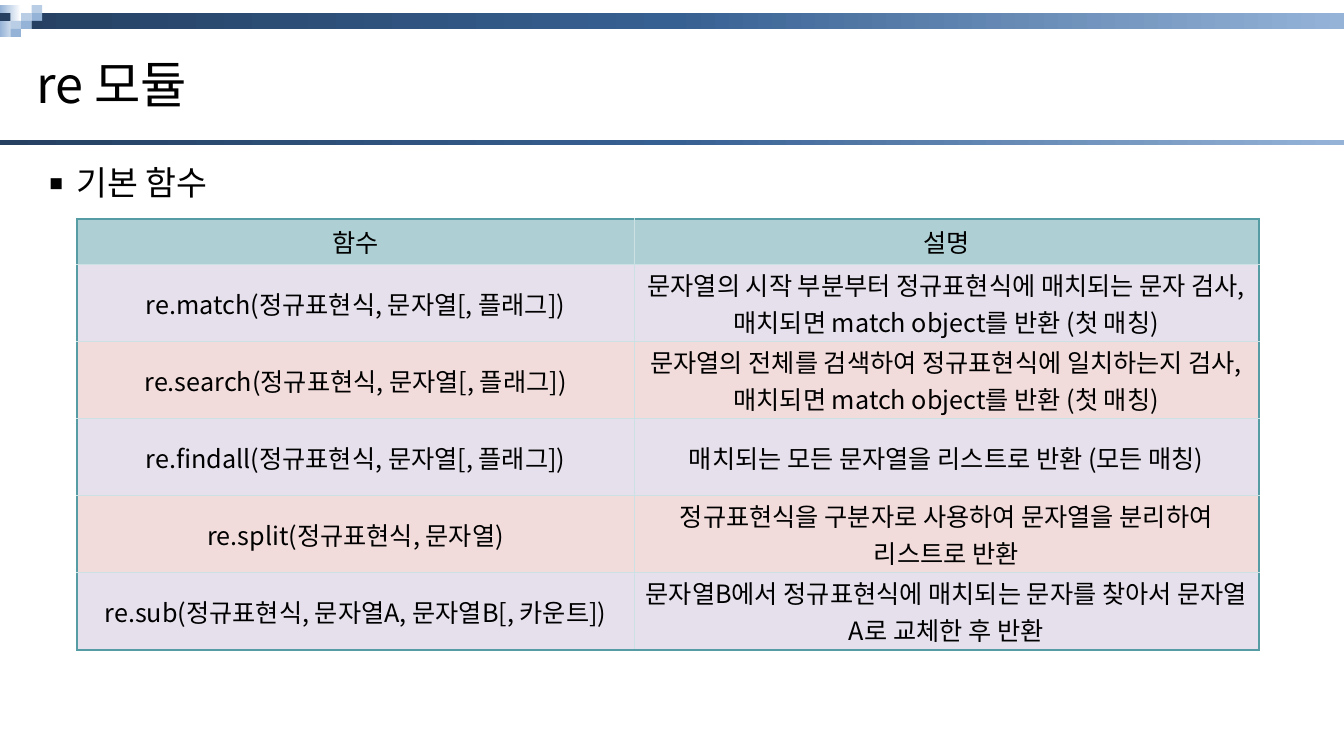
from lxml.etree import SubElement
from pptx import Presentation
from pptx.dml.color import RGBColor
from pptx.enum.shapes import MSO_SHAPE
from pptx.enum.text import MSO_ANCHOR, PP_ALIGN
from pptx.oxml.ns import qn
from pptx.util import Cm, Pt

FONT = "Noto Sans CJK KR"
COLORS = {
    "text": "000000", "white": "FFFFFF",
    "navy": "254061", "blue": "376092", "sky": "95B3D7", "pale": "B9CDE5",
    "header": "AECFD3", "lilac": "E6E0EC", "rose": "F2DCDB",
    "frame": "569CA5", "grid": "CBE1E3",
}
BAR_STOPS = ("navy", "blue", "sky")
PANEL_STOPS = ("sky", "white", "white")
MOSAIC_TILES = {
    (3, 0): "pale",
    (0, 1): "navy", (2, 1): "pale", (3, 1): "sky",
    (1, 2): "pale", (2, 2): "sky", (3, 2): "navy",
    (1, 3): "sky",
}
FUNCTIONS = [
    ("함수", "설명"),
    ("re.match(정규표현식, 문자열[, 플래그])",
     "문자열의 시작 부분부터 정규표현식에 매치되는 문자 검사, 매치되면 match object를 반환 (첫 매칭)"),
    ("re.search(정규표현식, 문자열[, 플래그])",
     "문자열의 전체를 검색하여 정규표현식에 일치하는지 검사, 매치되면 match object를 반환 (첫 매칭)"),
    ("re.findall(정규표현식, 문자열[, 플래그])",
     "매치되는 모든 문자열을 리스트로 반환 (모든 매칭)"),
    ("re.split(정규표현식, 문자열)",
     "정규표현식을 구분자로 사용하여 문자열을 분리하여 리스트로 반환"),
    ("re.sub(정규표현식, 문자열A, 문자열B[, 카운트])",
     "문자열B에서 정규표현식에 매치되는 문자를 찾아서 문자열A로 교체한 후 반환"),
]


def color(name):
    """Return the named colour."""
    return RGBColor.from_string(COLORS[name])


def add_run(paragraph, text, size):
    """Add one run in the slide font, for Latin and Korean letters."""
    run = paragraph.add_run()
    run.text = text
    run.font.size = Pt(size)
    run.font.color.rgb = color("text")
    run.font.name = FONT
    SubElement(run.font._element, qn("a:ea"), typeface=FONT)


def place(shape, box):
    """Move a shape to a box of left, top, width and height in centimetres."""
    shape.left, shape.top, shape.width, shape.height = map(Cm, box)


def add_block(slide, box):
    """Add a plain rectangle without line or shadow."""
    shape = slide.shapes.add_shape(MSO_SHAPE.RECTANGLE, *map(Cm, box))
    shape.shadow.inherit = False
    shape.line.fill.background()
    return shape


def add_gradient(slide, box, stops):
    """Add a rectangle that fades evenly from left to right."""
    shape = add_block(slide, box)
    shape.fill.gradient()
    shape.fill.gradient_angle = 0
    stop_list = shape._element.spPr.find(qn("a:gradFill")).find(qn("a:gsLst"))
    for old_stop in list(stop_list):
        stop_list.remove(old_stop)
    for index, name in enumerate(stops):
        position = 100000 * index // (len(stops) - 1)
        stop = SubElement(stop_list, qn("a:gs"), pos=str(position))
        SubElement(stop, qn("a:srgbClr"), val=COLORS[name])


def add_mosaic(slide, box):
    """Add the corner mosaic on a four by four grid."""
    left, top, width, height = box
    add_gradient(slide, box, PANEL_STOPS)
    tile_width, tile_height = width / 4, height / 4
    for (column, row), name in MOSAIC_TILES.items():
        tile = add_block(slide, (left + column * tile_width, top + row * tile_height,
                                 tile_width, tile_height))
        tile.fill.solid()
        tile.fill.fore_color.rgb = color(name)


def add_decoration(slide, box):
    """Add the top band, the corner mosaic and the rule below the title."""
    left, top, width, _ = box
    add_gradient(slide, (left, top + 0.33, width, 0.41), BAR_STOPS)
    add_mosaic(slide, (left, top + 0.13, 1.06, 0.8))
    add_gradient(slide, (left, top + 3.53, width, 0.13), BAR_STOPS)


def fill_title(title, box, text):
    """Place the title and write its text."""
    place(title, box)
    title.text_frame.vertical_anchor = MSO_ANCHOR.MIDDLE
    paragraph = title.text_frame.paragraphs[0]
    paragraph.alignment = PP_ALIGN.LEFT
    add_run(paragraph, text, 36)


def fill_body(body, box, text):
    """Place the body and write its bullet."""
    place(body, box)
    paragraph = body.text_frame.paragraphs[0]
    add_run(paragraph, text, 24)
    properties = paragraph._p.get_or_add_pPr()
    properties.set("marL", str(Cm(0.95)))
    properties.set("indent", str(-Cm(0.95)))
    SubElement(properties, qn("a:buSzPct"), val="120000")
    SubElement(properties, qn("a:buFont"), typeface=FONT)
    SubElement(properties, qn("a:buChar"), char="▪")


def set_borders(cell, outer_sides):
    """Draw the frame on outer sides and the grid on the others."""
    properties = cell._tc.get_or_add_tcPr()
    for index, side in enumerate("LRTB"):
        name, width = ("frame", 1.7) if side in outer_sides else ("grid", 0.28)
        line = SubElement(properties, qn(f"a:ln{side}"), w=str(Pt(width)))
        SubElement(SubElement(line, qn("a:solidFill")), qn("a:srgbClr"), val=COLORS[name])
        properties.insert(index, line)


def fill_cell(cell, text, fill_name):
    """Write one centred cell on its fill."""
    cell.fill.solid()
    cell.fill.fore_color.rgb = color(fill_name)
    cell.vertical_anchor = MSO_ANCHOR.MIDDLE
    cell.margin_left = cell.margin_right = Cm(0.18)
    cell.margin_top = cell.margin_bottom = Cm(0.05)
    paragraph = cell.text_frame.paragraphs[0]
    paragraph.alignment = PP_ALIGN.CENTER
    add_run(paragraph, text, 18)


def add_function_table(slide, box):
    """Add the table of functions with a short header row."""
    width, height = box[2:]
    last_row = len(FUNCTIONS) - 1
    header_height = 1.15
    table = slide.shapes.add_table(len(FUNCTIONS), 2, *map(Cm, box)).table
    table.columns[0].width = Cm(14.02)
    table.columns[1].width = Cm(width - 14.02)
    for row, texts in enumerate(FUNCTIONS):
        table.rows[row].height = Cm((height - header_height) / last_row if row else header_height)
        fill_name = ("rose", "lilac")[row % 2] if row else "header"
        for column, text in enumerate(texts):
            cell = table.cell(row, column)
            fill_cell(cell, text, fill_name)
            outer_sides = "LR"[column] + ("T" if row == 0 else "B" if row == last_row else "")
            set_borders(cell, outer_sides)


def build_function_slide(presentation, box):
    """Build the slide on the basic functions of the module."""
    left, top, width, _ = box
    slide = presentation.slides.add_slide(presentation.slide_layouts[1])
    add_decoration(slide, box)
    fill_title(slide.shapes.title, (left + 0.66, top + 0.91, width - 1.33, 2.39), "re 모듈")
    fill_body(slide.placeholders[1], (left + 0.66, top + 3.94, width - 1.33, 14.4), "기본 함수")
    add_function_table(slide, (left + 1.95, top + 5.52, 29.77, 10.85))


def main():
    """Create and save the presentation."""
    presentation = Presentation()
    presentation.slide_width = Cm(33.87)
    presentation.slide_height = Cm(19.05)
    build_function_slide(presentation, (0, 0, 33.87, 19.05))
    presentation.save("out.pptx")


if __name__ == "__main__":
    main()
